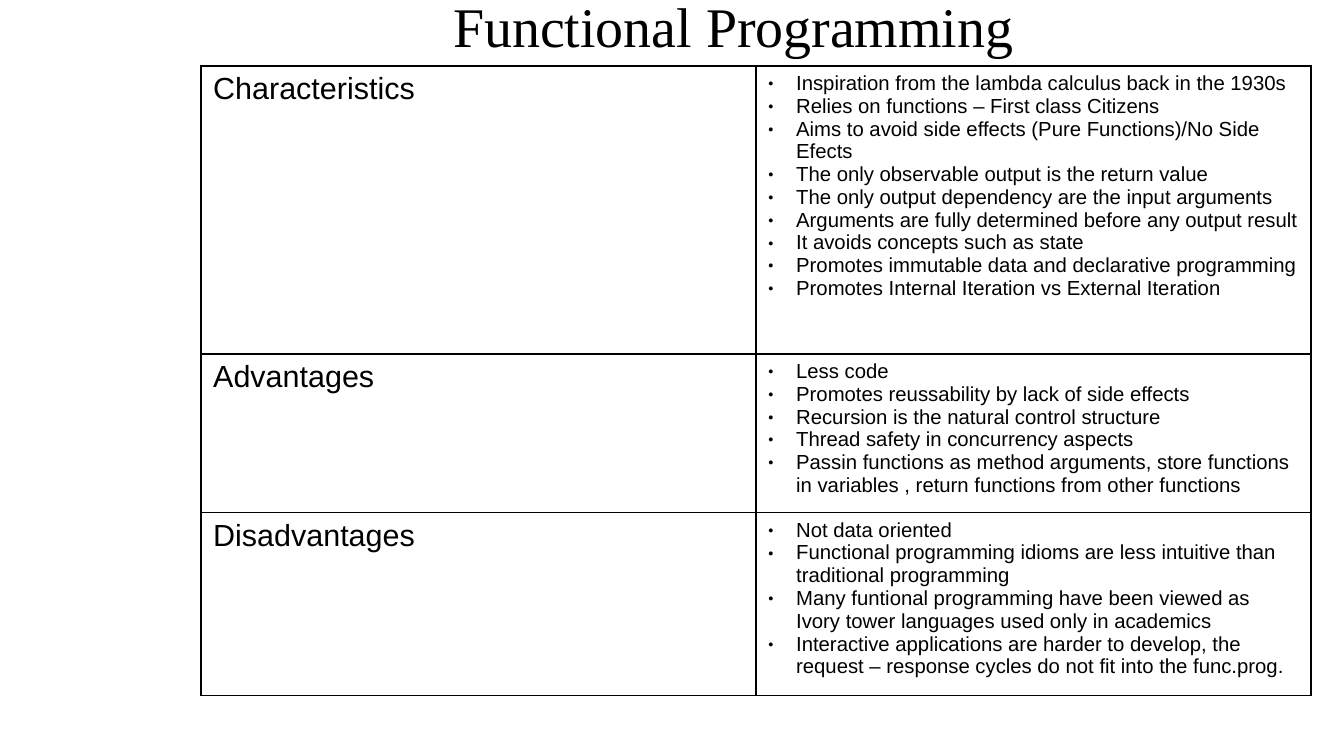
import pptx
import pptx.util
import pptx.dml.color
import pptx.enum.text
import pptx.oxml.ns
import lxml.etree

PX = 7495
COLORS = {"text": "000000", "border": "000000", "cell": "FFFFFF"}
BULLET_INDENT = 28
ROWS = [
    (288, "Characteristics", [
        "Inspiration from the lambda calculus back in the 1930s",
        "Relies on functions – First class Citizens",
        "Aims to avoid side effects (Pure Functions)/No Side Efects",
        "The only observable output is the return value",
        "The only output dependency are the input arguments",
        "Arguments are fully determined before any output result",
        "It avoids concepts such as state",
        "Promotes immutable data and declarative programming",
        "Promotes Internal Iteration vs External Iteration",
    ]),
    (150, "Advantages", [
        "Less code",
        "Promotes reussability by lack of side effects",
        "Recursion is the natural control structure",
        "Thread safety in concurrency aspects",
        "Passin functions as method arguments, store functions in variables , "
        "return functions from other functions",
    ]),
    (173, "Disadvantages", [
        "Not data oriented",
        "Functional programming idioms are less intuitive than traditional programming",
        "Many funtional programming have been viewed as Ivory tower languages "
        "used only in academics",
        "Interactive applications are harder to develop, the request – response "
        "cycles do not fit into the func.prog.",
    ]),
]


def px(n):
    return pptx.util.Emu(n * PX)


def rgb(name):
    return pptx.dml.color.RGBColor.from_string(COLORS[name])


def add_xml(parent, tag, **attrs):
    el = lxml.etree.SubElement(parent, pptx.oxml.ns.qn(tag))
    for name, value in attrs.items():
        el.set(name, str(value))
    return el


def add_bullet(p):
    pPr = p._p.get_or_add_pPr()
    pPr.set("marL", str(px(BULLET_INDENT)))
    pPr.set("indent", str(px(-BULLET_INDENT)))
    add_xml(pPr, "a:buSzPct", val=45000)
    add_xml(pPr, "a:buFont", typeface="Arial")
    add_xml(pPr, "a:buChar", char="●")


def write(tf, lines, size=12, font="Arial", color="text", align="LEFT", bullet=False):
    tf.word_wrap = True
    for i, line in enumerate(lines):
        p = tf.add_paragraph() if i else tf.paragraphs[0]
        p.alignment = getattr(pptx.enum.text.PP_ALIGN, align)
        if bullet:
            add_bullet(p)
        r = p.add_run()
        r.text = line
        r.font.size = pptx.util.Pt(size)
        r.font.name = font
        r.font.color.rgb = rgb(color)


def format_cell(cell):
    tcPr = cell._tc.get_or_add_tcPr()
    for side in ("a:lnL", "a:lnR", "a:lnT", "a:lnB"):
        ln = add_xml(tcPr, side, w=pptx.util.Pt(0.75))
        fill = add_xml(ln, "a:solidFill")
        add_xml(fill, "a:srgbClr", val=COLORS["border"])
    cell.fill.solid()
    cell.fill.fore_color.rgb = rgb("cell")


def add_title(slide, x, y, w, h):
    tf = slide.shapes.add_textbox(px(x), px(y), px(w), px(h)).text_frame
    tf.margin_left = tf.margin_right = tf.margin_top = tf.margin_bottom = 0
    tf.vertical_anchor = pptx.enum.text.MSO_ANCHOR.MIDDLE
    write(tf, ["Functional Programming "], size=33, font="Times New Roman", align="CENTER")


def add_summary(slide, x, y, w):
    h = sum(row[0] for row in ROWS)
    table = slide.shapes.add_table(len(ROWS), 2, px(x), px(y), px(w), px(h)).table
    table.first_row = table.horz_banding = False
    for col in table.columns:
        col.width = px(w // 2)
    for i, (height, heading, points) in enumerate(ROWS):
        table.rows[i].height = px(height)
        left, right = table.cell(i, 0), table.cell(i, 1)
        format_cell(left)
        format_cell(right)
        write(left.text_frame, [heading], size=18)
        write(right.text_frame, points, bullet=True)


def main():
    prs = pptx.Presentation()
    prs.slide_width, prs.slide_height = px(1344), px(756)
    slide = prs.slides.add_slide(prs.slide_layouts[6])
    add_title(slide, 200, -37, 1081, 124)
    add_summary(slide, 201, 66, 1110)
    prs.save("out.pptx")


if __name__ == "__main__":
    main()
